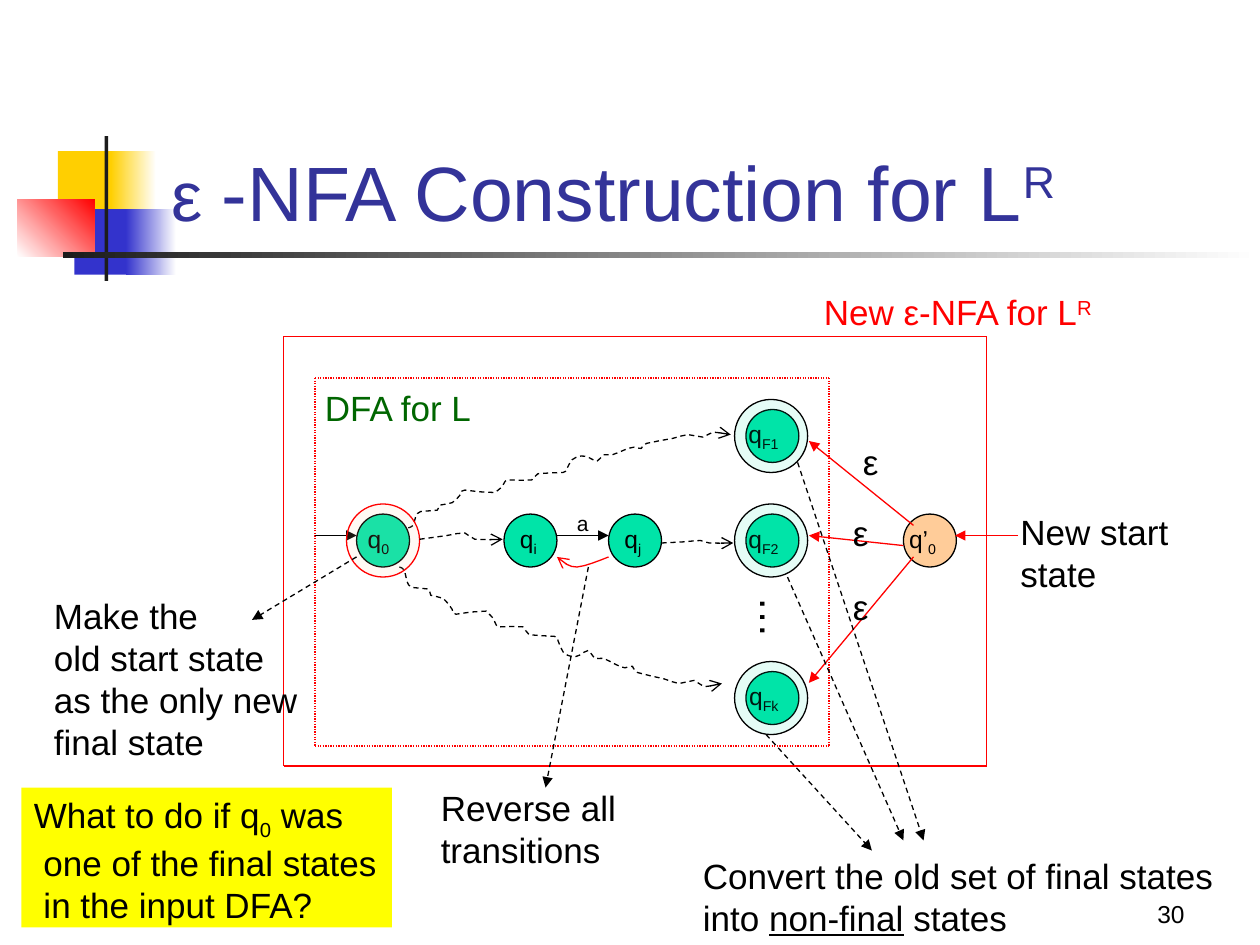
from dataclasses import dataclass

from lxml.etree import SubElement
from pptx import Presentation
from pptx.dml.color import RGBColor
from pptx.enum.dml import MSO_LINE
from pptx.enum.shapes import MSO_CONNECTOR, MSO_SHAPE
from pptx.enum.text import MSO_ANCHOR, MSO_AUTO_SIZE, PP_ALIGN
from pptx.oxml.ns import qn
from pptx.util import Cm, Pt


@dataclass(frozen=True)
class Theme:
    """Colours, type sizes and the font of the slide."""
    font: str = "Arial"
    black: str = "000000"
    white: str = "FFFFFF"
    red: str = "FF0000"
    title: str = "333399"
    label: str = "006600"
    state: str = "00E4A8"
    start: str = "FFCC99"
    note: str = "FFFF00"
    gold: str = "FFCF01"
    blue: str = "3333CC"
    ink: str = "1C1C1C"
    heading: int = 44
    epsilon: int = 40
    body: int = 20
    small: int = 14
    tiny: int = 12
    dots: int = 24


THEME = Theme()
SUB, SUPER = -25, 30
STATE_SIZE, RING_SIZE = 0.42, 0.58
WIGGLE = [
    (0, 0), (0.04, 0.02), (0.06, 0.09), (0.1, 0.13), (0.23, 0.14), (0.25, 0.18),
    (0.35, 0.2), (0.42, 0.27), (0.45, 0.3), (0.69, 0.28), (0.77, 0.37), (0.81, 0.38),
    (0.98, 0.38), (1.03, 0.43), (1.23, 0.44), (1.26, 0.47), (1.3, 0.54),
    (1.37, 0.57), (1.43, 0.56), (1.5, 0.53), (1.55, 0.58), (1.62, 0.58), (1.72, 0.62),
    (1.79, 0.64), (1.85, 0.63), (1.89, 0.67), (2.1, 0.71), (2.22, 0.74), (2.34, 0.72),
    (2.42, 0.76), (2.56, 0.74),
]


def length(inches):
    """Turn a distance in inches into a Cm length."""
    return Cm(inches * 2.54)


def lengths(*inches):
    """Turn several distances in inches into Cm lengths."""
    return [length(value) for value in inches]


def write(frame, paragraphs, size, color=THEME.black, align=PP_ALIGN.LEFT):
    """Write paragraphs of (text, options) spans, breaking lines at newlines."""
    for index, spans in enumerate(paragraphs):
        para = frame.paragraphs[0] if index == 0 else frame.add_paragraph()
        para.alignment = align
        for text, options in spans:
            for row, piece in enumerate(text.split("\n")):
                if row:
                    para.add_line_break()
                span = para.add_run()
                span.text = piece
                span.font.name = THEME.font
                span.font.size = Pt(options.get("size", size))
                span.font.color.rgb = RGBColor.from_string(color)
                if "underline" in options:
                    span.font.underline = True
                if "baseline" in options:
                    span._r.get_or_add_rPr().set("baseline", str(options["baseline"] * 1000))


def add_text(page, at, paragraphs, size=THEME.body, color=THEME.black, fill=None):
    """Add an unwrapped text box that fits its text."""
    box = page.shapes.add_textbox(*lengths(*at))
    box.text_frame.word_wrap = False
    box.text_frame.auto_size = MSO_AUTO_SIZE.SHAPE_TO_FIT_TEXT
    if fill:
        box.fill.solid()
        box.fill.fore_color.rgb = RGBColor.from_string(fill)
    write(box.text_frame, paragraphs, size, color)
    return box


def style_line(shape, color, dash=None, tail=None):
    """Give a shape or connector its thin line, dash and arrowhead."""
    shape.line.color.rgb = RGBColor.from_string(color)
    shape.line.width = Pt(0.75)
    if dash:
        shape.line.dash_style = dash
    if tail:
        outline = shape.element.spPr.find(qn("a:ln"))
        SubElement(outline, qn("a:tailEnd"), type=tail)


def add_shape(page, kind, at, fill=None, line=None, opacity=None):
    """Add a flat preset shape with an optional fill and outline."""
    shape = page.shapes.add_shape(kind, *lengths(*at))
    shape.shadow.inherit = False
    if fill:
        shape.fill.solid()
        shape.fill.fore_color.rgb = RGBColor.from_string(fill)
    if opacity:
        color = shape.element.spPr.find(".//" + qn("a:srgbClr"))
        SubElement(color, qn("a:alpha"), val=str(opacity * 1000))
    if line:
        style_line(shape, line)
    else:
        shape.line.fill.background()
    return shape


def add_gradient(page, at, first, last, angle=0):
    """Add a rectangle that fades from one colour to another."""
    shape = add_shape(page, MSO_SHAPE.RECTANGLE, at)
    shape.fill.gradient()
    shape.fill.gradient_angle = angle
    for stop, color in zip(shape.fill.gradient_stops, (first, last)):
        stop.color.rgb = RGBColor.from_string(color)


def add_state(page, left, top, name, mark, fill=THEME.state):
    """Add a state circle with a subscripted name."""
    circle = add_shape(page, MSO_SHAPE.OVAL, (left, top, STATE_SIZE, STATE_SIZE), fill, THEME.black)
    circle.text_frame.word_wrap = False
    circle.text_frame.vertical_anchor = MSO_ANCHOR.MIDDLE
    write(circle.text_frame, [[(name, {}), (mark, {"baseline": SUB})]], THEME.small, align=PP_ALIGN.RIGHT)


def add_ring(page, left, top, fill=THEME.state, line=THEME.black):
    """Add the translucent outer ring of a final state."""
    add_shape(page, MSO_SHAPE.OVAL, (left, top, RING_SIZE, RING_SIZE), fill, line, opacity=10)


def add_line(page, start, end, color=THEME.black, dash=None, tail="triangle"):
    """Add a straight line, with an arrowhead unless tail is None."""
    line = page.shapes.add_connector(MSO_CONNECTOR.STRAIGHT, *lengths(*start, *end))
    style_line(line, color, dash, tail)
    SubElement(line.element.spPr, qn("a:effectLst"))


def add_frame(page, left, top, right, bottom, dash=None):
    """Add a red frame made of four lines."""
    for start, end in (((left, top), (left, bottom)), ((left, top), (right, top)),
                       ((right, top), (right, bottom)), ((left, bottom), (right, bottom))):
        add_line(page, start, end, THEME.red, dash, None)


def smooth_points(points):
    """Return the points with one more between each two, on a smooth curve."""
    padded = [points[0], *points, points[-1]]
    result = [points[0]]
    for a, b, c, d in zip(padded, padded[1:], padded[2:], padded[3:]):
        middle = tuple((9 * (q + r) - p - s) / 16 for p, q, r, s in zip(a, b, c, d))
        result += [middle, c]
    return result


def add_curve(page, points, color=THEME.black, dash=MSO_LINE.DASH):
    """Add an open curved arrow through the points."""
    first, *rest = [lengths(*point) for point in smooth_points(points)]
    builder = page.shapes.build_freeform(*first)
    builder.add_line_segments(rest, close=False)
    curve = builder.convert_to_shape()
    curve.shadow.inherit = False
    curve.fill.background()
    style_line(curve, color, dash, "arrow")


def add_decoration(page):
    """Add the coloured blocks and rules beside the title."""
    add_shape(page, MSO_SHAPE.RECTANGLE, (0.46, 1.2, 0.48, 0.52), THEME.gold)
    add_gradient(page, (0.88, 1.2, 0.36, 0.52), THEME.gold, THEME.white)
    add_shape(page, MSO_SHAPE.RECTANGLE, (0.59, 1.66, 0.46, 0.52), THEME.blue)
    add_gradient(page, (1, 1.66, 0.4, 0.52), THEME.blue, THEME.white)
    add_gradient(page, (0.14, 1.58, 0.61, 0.46), THEME.white, THEME.red, 45)
    add_shape(page, MSO_SHAPE.RECTANGLE, (0.83, 1.08, 0.03, 1.15), THEME.ink)
    add_gradient(page, (0.5, 2, 9.5, 0.05), THEME.ink, THEME.white)


def add_heading(page):
    """Add the page number and place the title in front of the decoration."""
    number = page.shapes.add_textbox(*lengths(7.42, 6.92, 2.08, 0.5))
    number.text_frame.word_wrap = True
    number.text_frame.vertical_anchor = MSO_ANCHOR.BOTTOM
    write(number.text_frame, [[("30", {})]], THEME.small, align=PP_ALIGN.RIGHT)
    title = page.shapes.title
    title.left, title.top, title.width, title.height = lengths(1.26, 0.68, 8.52, 1.25)
    title.text_frame.vertical_anchor = MSO_ANCHOR.BOTTOM
    title.text_frame.auto_size = MSO_AUTO_SIZE.NONE
    spans = [("ε ", {"size": THEME.epsilon}), ("-NFA Construction for L", {}), ("R", {"baseline": SUPER})]
    write(title.text_frame, [spans], THEME.heading, THEME.title)
    title.element.getparent().append(title.element)


def add_automaton(page):
    """Add the frames, states and transitions of the automaton."""
    add_state(page, 2.83, 4.08, "q", "0")
    for top, mark in ((3.17, "F1"), (4, "F2"), (5.25, "Fk")):
        add_state(page, 5.92, top + 0.08, "q", mark)
        add_ring(page, 5.83, top)
    add_text(page, (5.9, 4.65, 0.53, 0.5), [[("…", {})]], THEME.dots).rotation = 90
    for left, top, rise in ((3.24, 4.19, -1), (3.17, 4.5, 1.25)):
        add_curve(page, [(left + x, top + y * rise) for x, y in WIGGLE])
    for left, mark in ((4, "i"), (4.83, "j")):
        add_state(page, left, 4.08, "q", mark)
    add_line(page, (4.42, 4.25), (4.83, 4.25))
    add_text(page, (4.48, 4, 0.29, 0.3), [[("a", {})]], THEME.tiny)
    add_frame(page, 2.5, 3, 6.58, 5.92, MSO_LINE.ROUND_DOT)
    add_line(page, (2.5, 4.25), (2.83, 4.25))
    add_frame(page, 2.25, 2.67, 7.83, 6.08)
    add_curve(page, [(4.83, 4.42), (4.7, 4.47), (4.58, 4.5), (4.5, 4.48), (4.42, 4.42)], THEME.red, None)
    add_ring(page, 2.75, 4, THEME.start, THEME.red)
    add_state(page, 7.17, 4.08, "q’", "0", THEME.start)
    for start, end in (((7.25, 4.17), (6.42, 3.5)), ((7.17, 4.33), (6.42, 4.25)),
                       ((7.25, 4.42), (6.42, 5.42)), ((8.08, 4.25), (7.58, 4.25))):
        add_line(page, start, end, THEME.red)
    for left, top in ((6.75, 3.45), (6.67, 4.01), (6.67, 4.6)):
        add_text(page, (left, top, 0.32, 0.43), [[("ε", {})]])
    add_curve(page, [(5.25, 4.31), (5.44, 4.3), (5.56, 4.29), (5.63, 4.31), (5.82, 4.31)])
    add_curve(page, [(3.33, 4.28), (3.55, 4.25), (3.69, 4.23), (3.77, 4.28), (3.99, 4.28)])


def add_notes(page):
    """Add the labels, remarks and the dashed arrows to them."""
    add_text(page, (2.48, 3.02, 1.39, 0.43), [[("DFA for L", {})]], color=THEME.label)
    add_text(page, (6.44, 2.26, 2.37, 0.43),
             [[("New ε-NFA for L", {}), ("R", {"baseline": SUPER})]], color=THEME.red)
    add_text(page, (8, 4, 1.38, 0.77), [[("New start", {})], [("state", {})]])
    add_text(page, (0.33, 4.67, 2.23, 1.45),
             [[("Make the\nold start state\nas the only new \nfinal state", {})]])
    add_text(page, (3.4, 6.19, 2.93, 0.43), [[("Reverse all\ntransitions", {})]])
    add_text(page, (5.48, 6.73, 4.28, 0.77),
             [[("Convert the old set of final states\ninto ", {}),
               ("non-final", {"underline": True}), (" states", {})]])
    add_text(page, (0.17, 6.25, 2.94, 1.11),
             [[("What to do if q", {}), ("0", {"baseline": SUB}),
               (" was\n one of the final states\n in the input DFA?", {})]], fill=THEME.note)
    for start, end in (((4.67, 4.5), (4.33, 6.25)), ((6.25, 4.58), (7.17, 6.67)),
                       ((6.33, 3.67), (7.33, 6.67)), ((6.08, 5.83), (6.92, 6.75)),
                       ((2.83, 4.42), (2, 4.92))):
        add_line(page, start, end, dash=MSO_LINE.DASH)


def main():
    """Build the slide and save it."""
    deck = Presentation()
    deck.slide_width, deck.slide_height = Cm(25.4), Cm(19.05)
    page = deck.slides.add_slide(deck.slide_layouts[5])
    add_decoration(page)
    add_heading(page)
    add_automaton(page)
    add_notes(page)
    deck.save("out.pptx")


if __name__ == "__main__":
    main()
